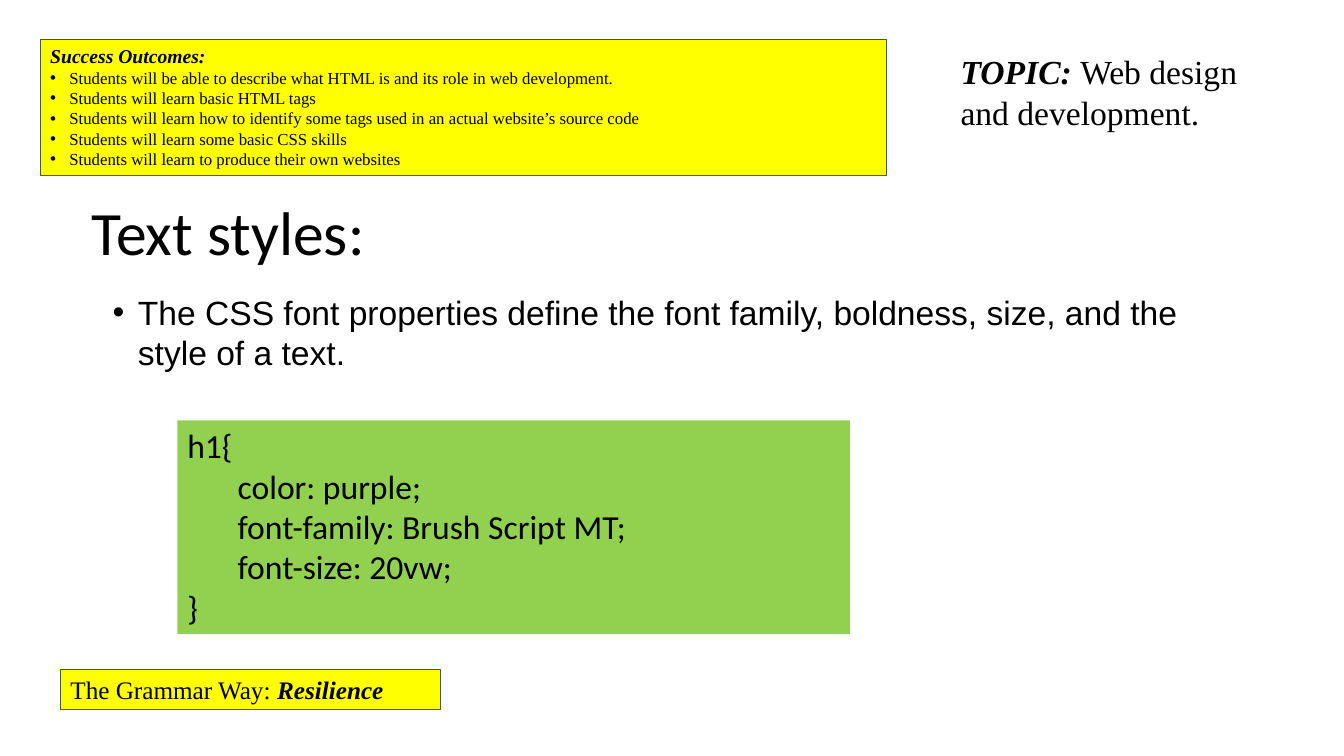
import pptx
import pptx.dml.color
import pptx.enum.shapes
import pptx.enum.text
import pptx.util
from lxml import etree

WIDE = pptx.util.Inches(13.333)
HIGH = pptx.util.Inches(7.5)
SERIF = "Times New Roman"
INK, YELLOW, GREEN, EDGE = "000000", "FFFF00", "92D050", "325491"

# Boxes: left, top, width, height in percent of the slide
TITLE = (6.08, 23.87, 82.5, 14.53)
MOTTO = (4.5, 88.53, 28.28, 5.33)
TOPIC = (70.73, 6.13, 23.4, 12.13)
GOALS = (3, 5.2, 62.93, 18)
POINT = (7.65, 37.87, 85.2, 12.13)
CODE = (13.2, 55.6, 50.03, 28.27)

AIMS = [
    "Students will be able to describe what HTML is and its role in web development.",
    "Students will learn basic HTML tags",
    "Students will learn how to identify some tags used in an actual website’s source code",
    "Students will learn some basic CSS skills",
    "Students will learn to produce their own websites",
]
RULES = [
    "h1{",
    "\tcolor: purple;",
    "\tfont-family: Brush Script MT;",
    "\tfont-size: 20vw;",
    "}",
]


def color(code):
    return pptx.dml.color.RGBColor.from_string(code)


def place(box):
    x, y, w, h = (share / 100 for share in box)
    return int(x * WIDE), int(y * HIGH), int(w * WIDE), int(h * HIGH)


def setup(shape, middle=False):
    frame = shape.text_frame
    frame.word_wrap = True
    anchor = pptx.enum.text.MSO_ANCHOR
    frame.vertical_anchor = anchor.MIDDLE if middle else anchor.TOP
    return frame


def label(slide, box, middle=False):
    return setup(slide.shapes.add_textbox(*place(box)), middle)


def panel(slide, box, fill, edge=None):
    kind = pptx.enum.shapes.MSO_SHAPE.RECTANGLE
    shape = slide.shapes.add_shape(kind, *place(box))
    shape.shadow.inherit = False
    shape.fill.solid()
    shape.fill.fore_color.rgb = color(fill)
    if edge:
        shape.line.color.rgb = color(edge)
        shape.line.width = pptx.util.Pt(0.75)
    else:
        shape.line.fill.background()
    return setup(shape)


def write(frame, parts, size, face):
    """Add one paragraph; each part is (text, strong)."""
    para = frame.paragraphs[0]
    if para.runs:
        para = frame.add_paragraph()
    para.alignment = pptx.enum.text.PP_ALIGN.LEFT
    para.font.size = pptx.util.Pt(size)
    para.font.name = face
    para.font.color.rgb = color(INK)
    for text, strong in parts:
        run = para.add_run()
        run.text = text
        if strong:
            run.font.bold = run.font.italic = True
    return para


def bullet(para, indent):
    props = para._p.get_or_add_pPr()
    gap = pptx.util.Inches(indent)
    props.set("marL", str(gap))
    props.set("indent", str(-gap))
    space = pptx.oxml.ns.nsdecls("a").split('"')[1]
    marks = [("buFont", "typeface", "Arial"), ("buChar", "char", "•")]
    for spot, (tag, key, value) in enumerate(marks):
        mark = etree.Element(f"{{{space}}}{tag}")
        mark.set(key, value)
        props.insert(spot, mark)


def title(slide, box):
    para = write(label(slide, box, True), [("Text styles:", False)], 44, "Calibri")
    para.line_spacing = 0.9


def motto(slide, box):
    frame = panel(slide, box, YELLOW, EDGE)
    write(frame, [("The Grammar Way: ", False), ("Resilience", True)], 18, SERIF)


def topic(slide, box):
    parts = [("TOPIC: ", True), ("Web design and development.", False)]
    write(label(slide, box), parts, 24, SERIF)


def goals(slide, box):
    frame = panel(slide, box, YELLOW, EDGE)
    write(frame, [("Success Outcomes:", True)], 14, SERIF)
    for aim in AIMS:
        bullet(write(frame, [(aim, False)], 12, SERIF), 0.19)


def point(slide, box):
    text = ("The CSS font properties define the font family, boldness, size, "
            "and the style of a text.")
    bullet(write(label(slide, box, True), [(text, False)], 24, "Arial"), 0.25)


def code(slide, box):
    frame = panel(slide, box, GREEN)
    for rule in RULES:
        write(frame, [(rule, False)], 24, "Calibri")


def main():
    deck = pptx.Presentation()
    deck.slide_width, deck.slide_height = WIDE, HIGH
    slide = deck.slides.add_slide(deck.slide_layouts[6])
    title(slide, TITLE)
    motto(slide, MOTTO)
    topic(slide, TOPIC)
    goals(slide, GOALS)
    point(slide, POINT)
    code(slide, CODE)
    deck.save("out.pptx")


if __name__ == "__main__":
    main()
